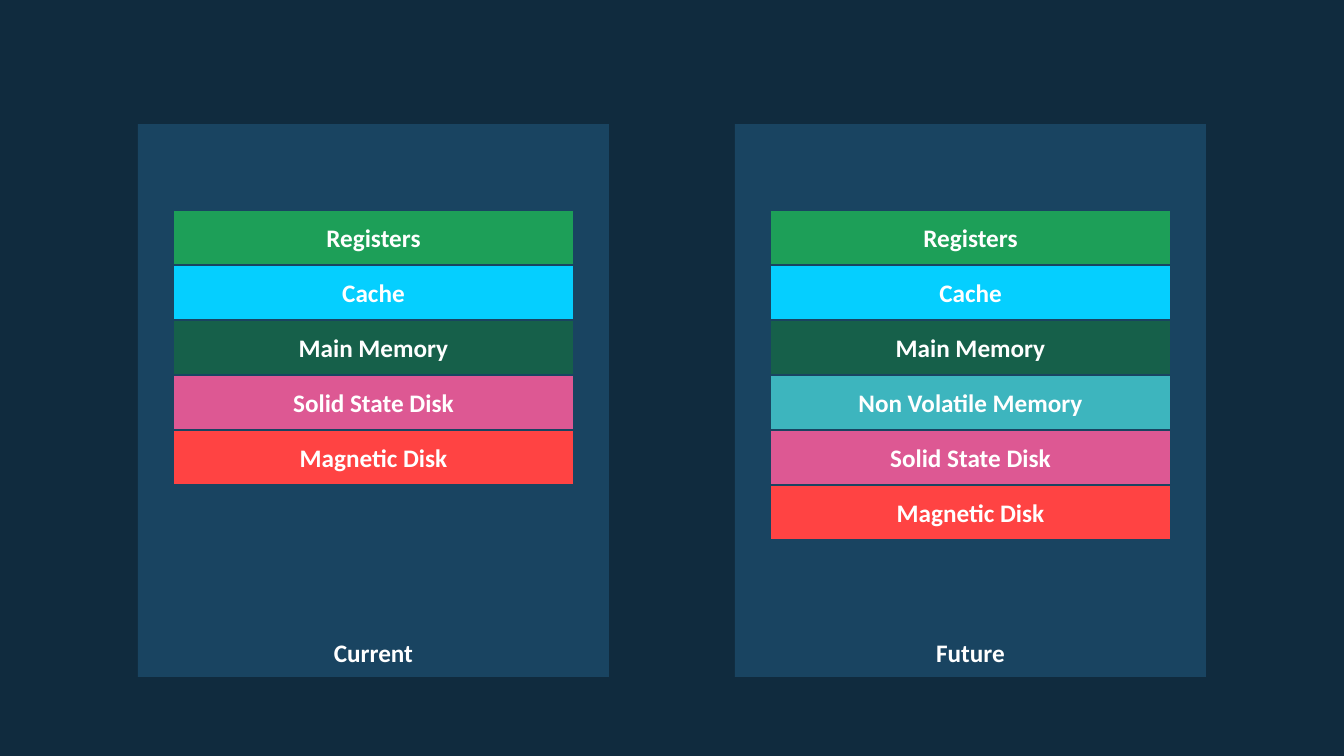
from dataclasses import dataclass

from pptx import Presentation
from pptx.dml.color import RGBColor
from pptx.enum.shapes import MSO_SHAPE
from pptx.enum.text import MSO_ANCHOR, PP_ALIGN
from pptx.util import Emu, Pt

RECTANGLE = MSO_SHAPE.RECTANGLE
ROUNDED_RECTANGLE = MSO_SHAPE.ROUNDED_RECTANGLE
BOTTOM, MIDDLE = MSO_ANCHOR.BOTTOM, MSO_ANCHOR.MIDDLE
CENTER = PP_ALIGN.CENTER

EMU_PER_PX = 914400 / 100.8
SLIDE_WIDTH, SLIDE_HEIGHT = 1344, 756
BLANK_LAYOUT = 6

PANEL_TOP, PANEL_WIDTH, PANEL_HEIGHT = 124, 471, 553
PANEL_MARGIN = 138
CAPTION_INSET = 9
TIER_INSET, TIER_OFFSET, TIER_HEIGHT = 35, 86, 55


@dataclass(frozen=True)
class Theme:
    background: str = "102B3E"
    panel: str = "194461"
    text: str = "FFFFFF"
    font: str = "Calibri"
    text_size: int = 18
    outline_width: int = 2


THEME = Theme()

TIER_COLORS = {
    "Registers": "1D9F58",
    "Cache": "05CFFF",
    "Main Memory": "16604A",
    "Non Volatile Memory": "3DB5BE",
    "Solid State Disk": "DD5893",
    "Magnetic Disk": "FF4343",
}
FUTURE_TIERS = list(TIER_COLORS)
CURRENT_TIERS = [tier for tier in FUTURE_TIERS if tier != "Non Volatile Memory"]


def px(length):
    return Emu(round(length * EMU_PER_PX))


def color(value):
    return RGBColor.from_string(value)


def add_labelled_box(shapes, kind, box, fill, label, anchor):
    shape = shapes.add_shape(kind, *map(px, box))
    shape.shadow.inherit = False
    shape.fill.solid()
    shape.fill.fore_color.rgb = color(fill)
    shape.line.fill.background()

    frame = shape.text_frame
    frame.word_wrap = True
    frame.vertical_anchor = anchor
    paragraph = frame.paragraphs[0]
    paragraph.alignment = CENTER
    run = paragraph.add_run()
    run.text = label
    run.font.name = THEME.font
    run.font.size = Pt(THEME.text_size)
    run.font.bold = True
    run.font.color.rgb = color(THEME.text)
    return shape


def add_tier(shapes, box, name):
    tier = add_labelled_box(shapes, ROUNDED_RECTANGLE, box, TIER_COLORS[name], name, MIDDLE)
    tier.adjustments[0] = 0
    tier.line.color.rgb = color(THEME.panel)
    tier.line.width = Pt(THEME.outline_width)


def add_hierarchy(slide, box, caption, tiers):
    """Group a captioned panel with its stack of storage tiers."""
    left, top, width, _ = box
    shapes = slide.shapes.add_group_shape().shapes
    panel = add_labelled_box(shapes, RECTANGLE, box, THEME.panel, caption, BOTTOM)
    panel.text_frame.margin_bottom = px(CAPTION_INSET)
    for row, name in enumerate(tiers):
        tier_top = top + TIER_OFFSET + row * TIER_HEIGHT
        tier_box = (left + TIER_INSET, tier_top, width - 2 * TIER_INSET, TIER_HEIGHT)
        add_tier(shapes, tier_box, name)


def main():
    presentation = Presentation()
    presentation.slide_width = px(SLIDE_WIDTH)
    presentation.slide_height = px(SLIDE_HEIGHT)
    slide = presentation.slides.add_slide(presentation.slide_layouts[BLANK_LAYOUT])
    slide.background.fill.solid()
    slide.background.fill.fore_color.rgb = color(THEME.background)

    right_panel = SLIDE_WIDTH - PANEL_MARGIN - PANEL_WIDTH
    for left, caption, tiers in (
        (PANEL_MARGIN, "Current", CURRENT_TIERS),
        (right_panel, "Future", FUTURE_TIERS),
    ):
        add_hierarchy(slide, (left, PANEL_TOP, PANEL_WIDTH, PANEL_HEIGHT), caption, tiers)

    presentation.save("out.pptx")


if __name__ == "__main__":
    main()
